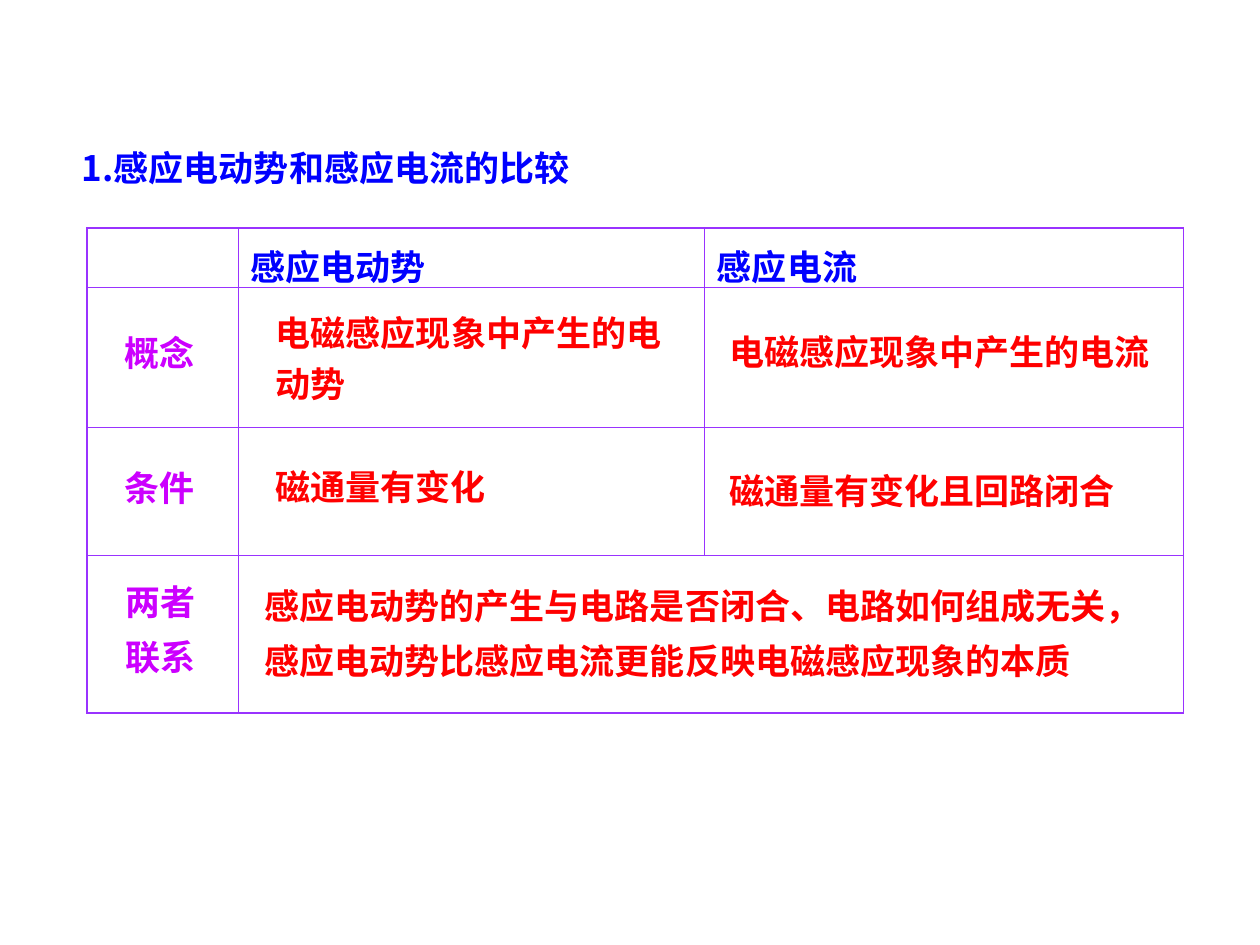
from itertools import accumulate

from lxml import etree
from pptx import Presentation
from pptx.dml.color import RGBColor
from pptx.enum.text import MSO_ANCHOR, MSO_AUTO_SIZE
from pptx.oxml.ns import qn
from pptx.util import Inches, Pt

MIDDLE = MSO_ANCHOR.MIDDLE
TOP = MSO_ANCHOR.TOP
GROW = MSO_AUTO_SIZE.SHAPE_TO_FIT_TEXT

FONT = "Noto Sans CJK SC"
BLUE, VIOLET, RED, BORDER = "0000FF", "CC00FF", "FF0000", "9933FF"
COLUMNS = [1.2, 3.7, 3.8]
ROWS = [0.47, 1.11, 1.02, 1.25]
HEADINGS = ["", "感应电动势", "感应电流"]

# row, column, box within the cell, text, format
NOTES = [
    (1, 0, (0.2, 0.3, 1.42, 0.44), "概念", dict(color=VIOLET)),
    (2, 0, (0.2, 0.26, 1.44, 0.44), "条件", dict(color=VIOLET)),
    (2, 1, (0.2, 0.15, 3.26, 0.54), "磁通量有变化", dict(spacing=1.3)),
    (2, 2, (0.1, 0.08, 3.52, 0.64), "磁通量有变化且回路闭合", dict(spacing=1.6)),
    (1, 1, (0.2, 0.08, 3.31, 0.9), "电磁感应现象中产生的电动势", dict(spacing=1.2)),
    (1, 2, (0.1, 0.29, 3.88, 0.44), "电磁感应现象中产生的电流", {}),
    (3, 0, (0.21, 0.21, 1.49, 0.81), "两者\n联系",
     dict(color=VIOLET, spacing=0.8, before=12.5, anchor=TOP)),
    (3, 1, (0.11, 0.08, 7.23, 0.97),
     "感应电动势的产生与电路是否闭合、电路如何组成无关，感应电动势比感应电流更能反映电磁感应现象的本质",
     dict(spacing=1.3, anchor=TOP)),
]


def rgb(color):
    """Return the colour for a hex string."""
    return RGBColor.from_string(color)


def write_text(frame, text, color=RED, size=20, spacing=None, before=0):
    """Write bold paragraphs, one for each line of the text."""
    for index, line in enumerate(text.split("\n")):
        paragraph = frame.add_paragraph() if index else frame.paragraphs[0]
        if spacing:
            paragraph.line_spacing = spacing
        if index and before:
            paragraph.space_before = Pt(before)
        run = paragraph.add_run()
        run.text = line
        run.font.size, run.font.bold, run.font.name = Pt(size), True, FONT
        run.font.color.rgb = rgb(color)
        east_asian = etree.SubElement(run.font._element, qn("a:ea"))
        east_asian.set("typeface", FONT)


def add_text(slide, box, text, anchor=MIDDLE, **text_format):
    """Add a wrapped text box at the given box in inches."""
    shape = slide.shapes.add_textbox(*map(Inches, box))
    frame = shape.text_frame
    frame.word_wrap, frame.auto_size = True, GROW
    frame.vertical_anchor = anchor
    write_text(frame, text, **text_format)


def set_borders(cell, widths):
    """Draw the left, right, top and bottom borders of a cell."""
    properties = cell._tc.get_or_add_tcPr()
    for index, (side, width) in enumerate(zip("LRTB", widths)):
        line = etree.Element(qn(f"a:ln{side}"), w=str(Pt(width)))
        fill = etree.SubElement(line, qn("a:solidFill"))
        etree.SubElement(fill, qn("a:srgbClr"), val=BORDER)
        properties.insert(index, line)


def add_comparison_table(slide, left, top):
    """Add the ruled table with its heading row."""
    size = map(Inches, (left, top, sum(COLUMNS), sum(ROWS)))
    table = slide.shapes.add_table(len(ROWS), len(COLUMNS), *size).table
    table.first_row = table.horz_banding = False
    for column, width in zip(table.columns, COLUMNS):
        column.width = Inches(width)
    last_row, last_column = len(ROWS) - 1, len(COLUMNS) - 1
    for row_index, height in enumerate(ROWS):
        table.rows[row_index].height = Inches(height)
        for column_index in range(len(COLUMNS)):
            cell = table.cell(row_index, column_index)
            cell.fill.background()
            edges = (column_index == 0, column_index == last_column,
                     row_index == 0, row_index == last_row)
            set_borders(cell, [0.75 if edge else 0.45 for edge in edges])
    table.cell(last_row, 1).merge(table.cell(last_row, last_column))
    for column_index, heading in enumerate(HEADINGS):
        if heading:
            cell = table.cell(0, column_index)
            cell.vertical_anchor = MIDDLE
            cell.margin_top, cell.margin_bottom = Inches(0.09), Inches(0.04)
            write_text(cell.text_frame, heading, color=BLUE)


def add_notes(slide, left, top):
    """Place each note relative to the corner of its table cell."""
    lefts = list(accumulate(COLUMNS, initial=left))
    tops = list(accumulate(ROWS, initial=top))
    for row, column, (x, y, width, height), text, text_format in NOTES:
        box = (lefts[column] + x, tops[row] + y, width, height)
        add_text(slide, box, text, **text_format)


def main():
    """Build and save the comparison slide."""
    presentation = Presentation()
    presentation.slide_width, presentation.slide_height = Inches(10), Inches(7.5)
    slide = presentation.slides.add_slide(presentation.slide_layouts[6])
    add_text(slide, (0.55, 1.11, 6.62, 0.44), "1.感应电动势和感应电流的比较", color=BLUE)
    add_comparison_table(slide, 0.69, 1.81)
    add_notes(slide, 0.69, 1.81)
    presentation.save("out.pptx")


if __name__ == "__main__":
    main()
